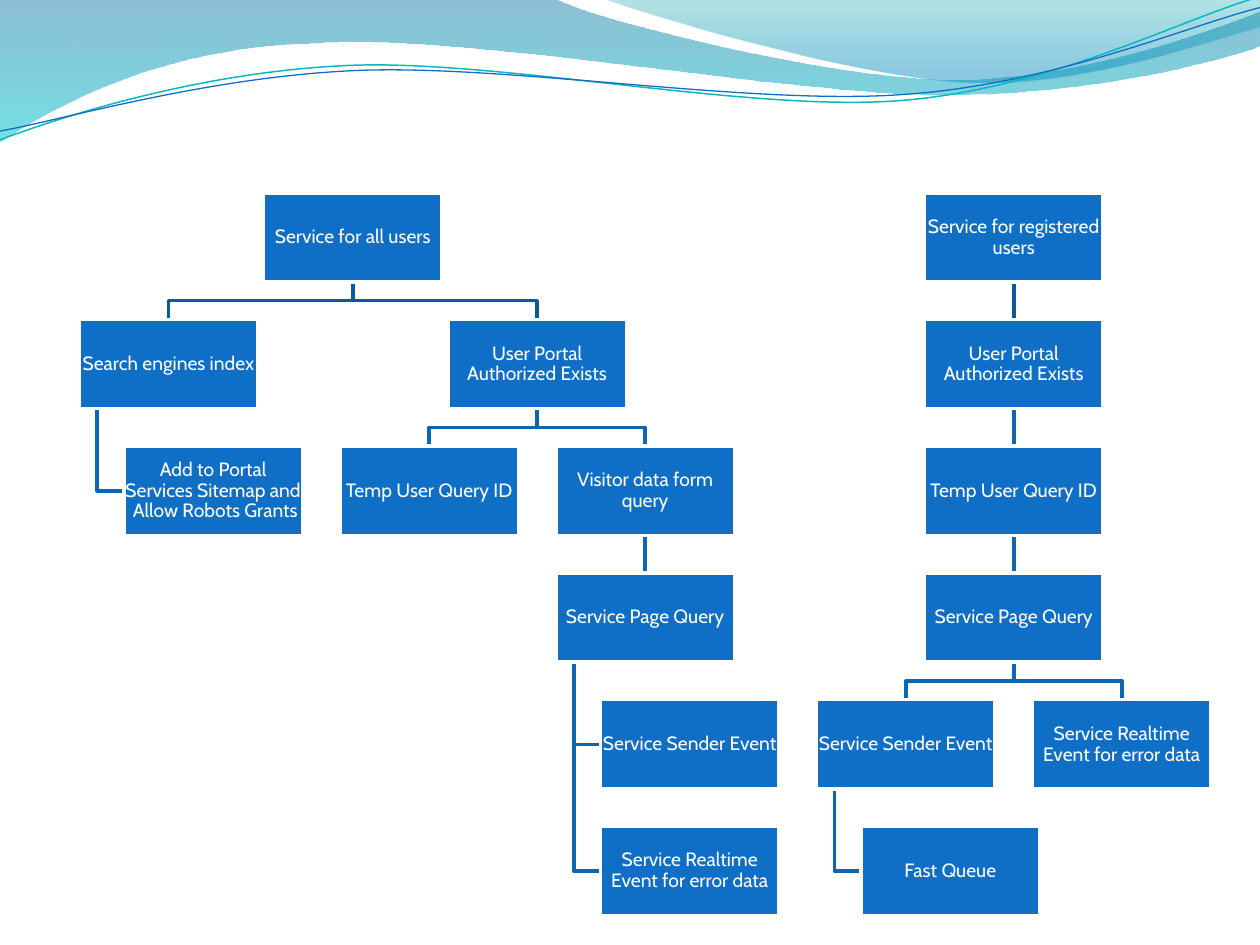
from dataclasses import dataclass
from lxml import etree
from pptx import Presentation
from pptx.dml.color import RGBColor
from pptx.enum.shapes import MSO_SHAPE
from pptx.enum.text import MSO_ANCHOR, PP_ALIGN
from pptx.oxml.ns import qn
from pptx.util import Inches, Pt

RECT = MSO_SHAPE.RECTANGLE
MIDDLE, CENTER = MSO_ANCHOR.MIDDLE, PP_ALIGN.CENTER


@dataclass(frozen=True)
class Theme:
    font: str = "Cabin"
    size: float = 11
    text: str = "FFFFFF"
    box: str = "0F6FC6"
    edge: str = "FFFFFF"
    top_link: str = "0C599F"
    link: str = "0E65B4"
    teal: str = "0AB8BF"
    weight: float = 2


THEME = Theme()

# Chart boxes: key, text, column, indent steps, row, parent
NODES = [
    ("all", "Service for all users", 0.75, 0.5, 0, None),
    ("index", "Search engines index", 0, 0, 1, "all"),
    ("robots", "Add to Portal Services Sitemap and  Allow Robots Grants", 0, 1, 2, "index"),
    ("auth", "User Portal Authorized Exists", 1.5, 1, 1, "all"),
    ("temp", "Temp User Query ID", 1, 1, 2, "auth"),
    ("form", "Visitor data form query", 2, 1, 2, "auth"),
    ("page", "Service Page Query", 2, 1, 3, "form"),
    ("send", "Service Sender Event", 2, 2, 4, "page"),
    ("error", "Service Realtime Event for error data", 2, 2, 5, "page"),
    ("reg", "Service for registered users", 3.5, 2, 0, None),
    ("reg auth", "User Portal Authorized Exists", 3.5, 2, 1, "reg"),
    ("reg temp", "Temp User Query ID", 3.5, 2, 2, "reg auth"),
    ("reg page", "Service Page Query", 3.5, 2, 3, "reg temp"),
    ("reg send", "Service Sender Event", 3, 2, 4, "reg page"),
    ("queue", "Fast Queue", 3, 3, 5, "reg send"),
    ("reg error", "Service Realtime Event for error data", 4, 2, 4, "reg page"),
]

# Waves: points in inches; two numbers make a line, six a curve
BANDS = [
    ([(0, 0), (4.4, -0.01), (4.76, 0.17, 6.64, 0.63, 7.58, 0.63),
      (8.53, 0.63, 9.58, 0.26, 10, 0.09), (10.01, 0.36),
      (9.83, 0.44, 8.7, 0.76, 7.46, 0.75), (6.22, 0.75, 3.82, 0.28, 2.57, 0.34),
      (1.29, 0.36, 0.46, 0.83, -0.01, 1.13), (0, 0)],
     [(0, "0074A1", 45), (1, "00C6CF", 55)]),
    ([(4.79, -0.01), (5.09, 0.11, 6.82, 0.62, 7.69, 0.65),
      (8.56, 0.69, 9.61, 0.32, 10, 0.21), (10, 0), (4.79, -0.01)],
     [(0, "00A1A9", 30), (0.8, "008BBF", 45)]),
]
STRANDS = [
    ([(0, 1.11), (0.48, 0.93, 1.58, 0.57, 2.77, 0.52),
      (3.95, 0.47, 5.93, 0.89, 7.13, 0.8), (8.33, 0.71, 9.38, 0.15, 9.98, -0.02)],
     THEME.teal, 0.85),
    ([(0, 1.04), (0.47, 0.96, 1.64, 0.61, 2.83, 0.56),
      (4.03, 0.51, 5.97, 0.84, 7.17, 0.75), (8.36, 0.67, 9.41, 0.21, 10, 0.06)],
     THEME.box, 0.75),
]

# Grid: everything follows from the box width
WIDE = 17 / 12
HIGH = WIDE / 2
LEFT, TOP = 0.63, 1.53
COL, ROW, STEP = WIDE * 1.21, HIGH * 1.42, WIDE / 4
SLIM = Inches(0.1)  # frame width of an upright link


def outline(shapes, route, close=False):
    """Draw a route of lines and cubic curves as one freeform."""
    pts = [(Inches(seg[i]), Inches(seg[i + 1]))
           for seg in route for i in range(0, len(seg), 2)]
    pen = shapes.build_freeform(*pts[0])
    pen.add_line_segments(pts[1:], close=close)
    shape = pen.convert_to_shape()
    shape.shadow.inherit = False

    # Join three points into one curve
    lines = list(shape._element.iter(qn("a:lnTo")))
    for seg in route[1:]:
        used, lines = lines[:len(seg) // 2], lines[len(seg) // 2:]
        if len(used) == 3:
            curve = etree.Element(qn("a:cubicBezTo"))
            used[0].addprevious(curve)
            for line in used:
                curve.append(line[0])
                line.getparent().remove(line)
    return shape


def stroke(line, color, width):
    line.color.rgb = RGBColor.from_string(color)
    line.width = Pt(width)


def draw_band(shapes, route, stops):
    band = outline(shapes, route, True)
    band.line.fill.background()
    band.fill.gradient()
    band.fill.gradient_angle = 270
    marks = band._element.iter(qn("a:gs"))
    for stop, mark, (place, color, alpha) in zip(band.fill.gradient_stops, marks, stops):
        stop.position = place
        stop.color.rgb = RGBColor.from_string(color)
        etree.SubElement(mark[0], qn("a:alpha")).set("val", str(alpha * 1000))


def draw_line(shapes, route, color, width):
    shape = outline(shapes, route)
    shape.fill.background()
    stroke(shape.line, color, width)
    return shape


def widen(shape):
    """Give an upright line a frame with the line in its middle."""
    shape.left -= SLIM // 2
    shape.width = SLIM
    next(shape._element.iter(qn("a:path"))).set("w", str(SLIM))
    for pt in shape._element.iter(qn("a:pt")):
        pt.set("x", str(SLIM // 2))


def corner(col, step, row):
    return LEFT + col * COL + step * STEP, TOP + row * ROW


def draw_box(shapes, text, x, y):
    box = shapes.add_shape(RECT, *map(Inches, (x, y, WIDE, HIGH)))
    box.shadow.inherit = False
    box.fill.solid()
    box.fill.fore_color.rgb = RGBColor.from_string(THEME.box)
    stroke(box.line, THEME.edge, THEME.weight)
    frame = box.text_frame
    frame.text = text
    frame.word_wrap = True
    frame.vertical_anchor = MIDDLE
    frame.margin_left = frame.margin_right = Inches(0.01)
    frame.margin_top = frame.margin_bottom = Inches(0.01)
    para = frame.paragraphs[0]
    para.alignment = CENTER
    para.line_spacing = 0.9
    font = para.runs[0].font
    font.name, font.size = THEME.font, Pt(THEME.size)
    font.color.rgb = RGBColor.from_string(THEME.text)


def draw_link(shapes, start, end, color):
    (px, py), (x, y) = start, end
    base = py + HIGH
    stem, a, b = px + WIDE / 10, px + WIDE / 2, x + WIDE / 2
    mid, side = (base + y) / 2, y + HIGH / 2
    if abs(x - px) < 0.01:
        widen(draw_line(shapes, [(a, base), (a, y)], color, THEME.weight))
        return
    if abs(x - px - STEP) < 0.01:  # indented child hangs from the side
        route = [(stem, base), (stem, side), (x, side)]
    else:
        route = [(a, base), (a, mid), (b, mid), (b, y)]
    draw_line(shapes, route, color, THEME.weight)


def main():
    deck = Presentation()
    deck.slide_width, deck.slide_height = Inches(10), Inches(7.5)
    shapes = deck.slides.add_slide(deck.slide_layouts[6]).shapes

    # Waves
    for route, stops in BANDS:
        draw_band(shapes, route, stops)
    for route, color, width in STRANDS:
        draw_line(shapes, route, color, width)

    # Links, with the boxes above them
    spots = {key: corner(col, step, row) for key, _, col, step, row, _ in NODES}
    roots = {node[0] for node in NODES if node[-1] is None}
    for key, *_, top in reversed(NODES):
        if top:
            color = THEME.top_link if top in roots else THEME.link
            draw_link(shapes, spots[top], spots[key], color)
    for key, text, *_ in NODES:
        draw_box(shapes, text, *spots[key])

    deck.save("out.pptx")


if __name__ == "__main__":
    main()
